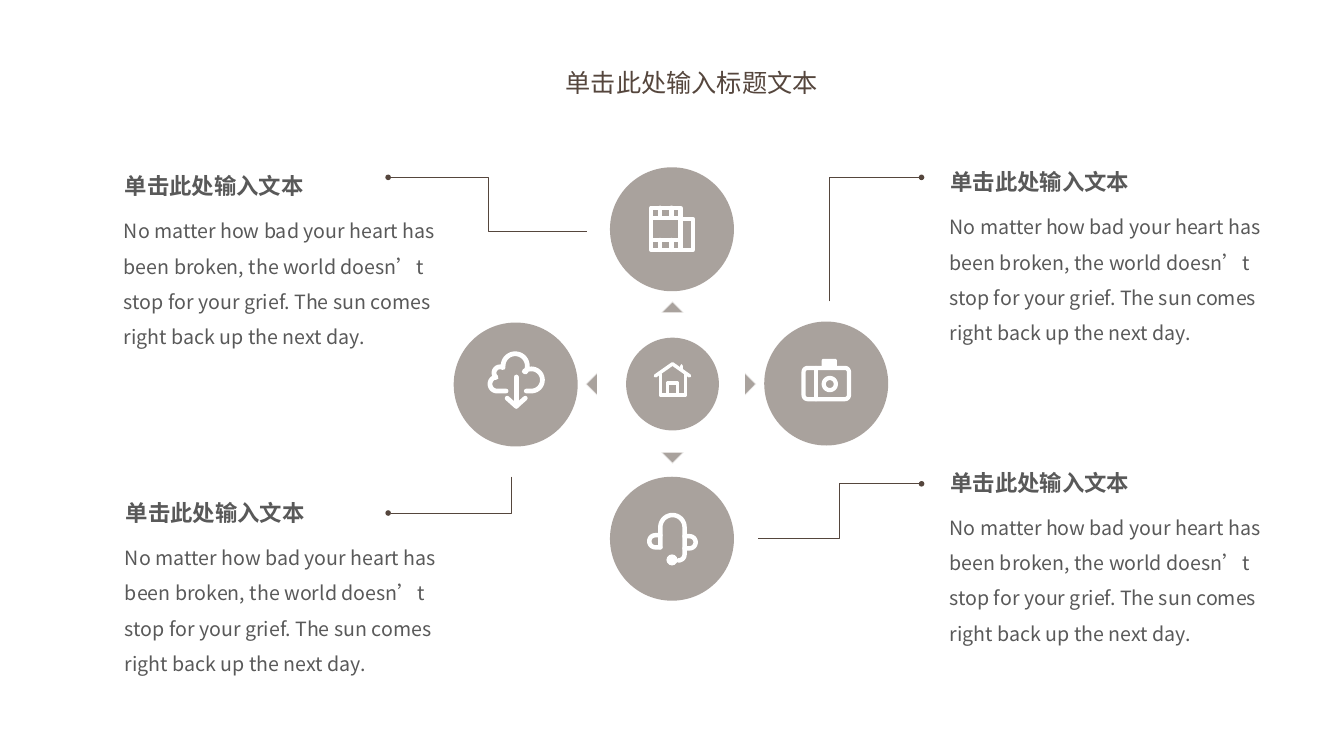
from dataclasses import dataclass
from math import cos, radians, sin

from lxml import etree
from pptx import Presentation
from pptx.dml.color import RGBColor
from pptx.enum import lang, shapes, text
from pptx.oxml import ns
from pptx.util import Inches, Pt

FONT = "Noto Sans CJK SC"
BROWN, GREY, WHITE = "55463D", "595959", "FFFFFF"
HEADING = "单击此处输入文本"
BODY = ("No matter how bad your heart has been broken, the world doesn’t "
        "stop for your grief. The sun comes right back up the next day.")
Point = tuple[float, float]
Glyph = list[list[Point]]


@dataclass
class Caption:
    left: float
    top: float
    leader: list[Point]


@dataclass
class Disc:
    left: float
    top: float
    size: float
    stroke: float
    icon: list[Glyph]


@dataclass
class Pointer:
    x: float
    y: float
    dx: int
    dy: int


def arc(x: float, y: float, r: float, start: int, end: int) -> list[Point]:
    """Points along a circle, in degrees clockwise from the right."""
    return [(x + r * cos(radians(a)), y + r * sin(radians(a)))
            for a in range(start, end + 1, 10)]


CAPTIONS = [
    Caption(1.14, 1.66, [(5.82, 2.3), (4.84, 2.3), (4.84, 1.76), (3.85, 1.76)]),
    Caption(9.33, 1.62, [(8.23, 2.99), (8.23, 1.76), (9.14, 1.76)]),
    Caption(9.33, 4.6, [(7.52, 5.34), (8.32, 5.34), (8.32, 4.8), (9.14, 4.8)]),
    Caption(1.15, 4.9, [(5.07, 4.73), (5.07, 5.09), (3.85, 5.09)]),
]
POINTERS = [Pointer(7.5, 3.81, 1, 0), Pointer(5.81, 3.81, -1, 0),
            Pointer(6.67, 4.6, 0, 1), Pointer(6.67, 2.99, 0, -1)]

FILM = [
    [(6.46, 2.06), (6.75, 2.06), (6.75, 2.48), (6.46, 2.48), (6.46, 2.06)],
    [(6.75, 2.17), (6.87, 2.17), (6.87, 2.48), (6.75, 2.48)],
    *[[(6.46, y), (6.75, y)] for y in (2.16, 2.38)],
    *[[(x, y), (x, y + 0.1)] for x in (6.55, 6.66) for y in (2.06, 2.38)],
]
CLOUD = [
    [(5.02, 3.88), *arc(4.93, 3.81, 0.07, 90, 250), *arc(4.96, 3.7, 0.06, 130, 300),
     *arc(5.11, 3.63, 0.12, 180, 390), *arc(5.27, 3.77, 0.11, 230, 450), (5.22, 3.88)],
]
DOWNLOAD = [
    [(5.12, 3.74), (5.12, 4.03)],
    [(5.03, 3.95), (5.12, 4.03), (5.21, 3.95)],
]
HEADSET = [
    [(6.55, 5.43), *arc(6.67, 5.23, 0.12, 180, 360),
     *arc(6.73, 5.5, 0.06, 0, 90)],
    [(6.55, 5.43), *arc(6.5, 5.37, 0.06, 90, 270), (6.55, 5.31)],
    [(6.79, 5.32), *arc(6.84, 5.38, 0.06, -90, 90), (6.79, 5.44)],
]
CAMERA = [
    [*arc(8.01, 3.69, 0.04, 180, 270), *arc(8.38, 3.69, 0.04, 270, 360),
     *arc(8.38, 3.92, 0.04, 0, 90), *arc(8.01, 3.92, 0.04, 90, 180), (7.97, 3.69)],
    [(8.09, 3.65), (8.09, 3.96)],
]
LENS = [arc(8.23, 3.81, 0.06, 0, 360)]
HOUSE = [
    [(6.5, 3.73), (6.67, 3.61), (6.84, 3.73)],
    [(6.55, 3.71), (6.55, 3.92), (6.8, 3.92), (6.8, 3.71)],
    [(6.62, 3.92), (6.62, 3.8), (6.72, 3.8), (6.72, 3.92)],
    [(6.76, 3.63), (6.76, 3.66)],
]
DISCS = [
    Disc(6.05, 1.66, 1.23, 3, [FILM]), Disc(4.5, 3.2, 1.23, 3.4, [CLOUD, DOWNLOAD]),
    Disc(6.05, 4.73, 1.23, 3.2, [HEADSET]), Disc(7.58, 3.19, 1.23, 3, [CAMERA, LENS]),
    Disc(6.21, 3.35, 0.92, 2.5, [HOUSE]),
]


def paint(fmt, color: str, opacity: int = 100) -> None:
    fmt.solid()
    fmt.fore_color.rgb = RGBColor.from_string(color)
    if opacity < 100:
        clr = fmt._xPr.find(".//" + ns.qn("a:srgbClr"))
        etree.SubElement(clr, ns.qn("a:alpha"), val=str(opacity * 1000))


def outline(s, strokes: Glyph, color: str, width: float, opacity: int = 100):
    """One unfilled freeform made of open strokes."""
    paths = [[(Inches(x), Inches(y)) for x, y in points] for points in strokes]
    builder = s.shapes.build_freeform(*paths[0][0])
    for i, (start, *rest) in enumerate(paths):
        if i:
            builder.move_to(*start)
        builder.add_line_segments(rest, close=False)
    sp = builder.convert_to_shape()
    sp.shadow.inherit = False
    sp.fill.background()
    paint(sp.line.fill, color, opacity)
    sp.line.width = Pt(width)
    return sp


def solid(s, kind, box: tuple[float, ...], color: str, opacity: int = 100) -> None:
    sp = s.shapes.add_shape(kind, *map(Inches, box))
    sp.shadow.inherit = False
    paint(sp.fill, color, opacity)
    sp.line.fill.background()


def write(sp, words: str, color: str, size: int, bold: bool = False,
          wrap: bool = True, spacing: float = 1) -> None:
    tf = sp.text_frame
    for name, value in {"word_wrap": wrap, "vertical_anchor": text.MSO_ANCHOR.TOP,
                        "auto_size": text.MSO_AUTO_SIZE.SHAPE_TO_FIT_TEXT}.items():
        setattr(tf, name, value)
    p = tf.paragraphs[0]
    p.alignment, p.line_spacing = text.PP_ALIGN.LEFT, spacing
    r = p.add_run()
    r.text = words
    for name, value in {"name": FONT, "size": Pt(size), "bold": bold,
                        "language_id": lang.MSO_LANGUAGE_ID.SIMPLIFIED_CHINESE}.items():
        setattr(r.font, name, value)
    paint(r.font.fill, color)
    latin = r.font._element.find(ns.qn("a:latin"))
    latin.addnext(etree.Element(ns.qn("a:ea"), typeface=FONT))


def draw_caption(s, c: Caption) -> None:
    leader = outline(s, [c.leader], BROWN, 0.5)
    etree.SubElement(leader.line._ln, ns.qn("a:tailEnd"), type="oval", w="sm", len="sm")
    body = s.shapes.add_textbox(*map(Inches, (c.left - 0.01, c.top + 0.35, 3.38, 1.5)))
    write(body, BODY, GREY, 14, spacing=1.5)
    heading = s.shapes.add_textbox(*map(Inches, (c.left, c.top, 1.98, 0.39)))
    write(heading, HEADING, GREY, 16, bold=True, wrap=False)


def draw_pointer(s, t: Pointer) -> None:
    back_x, back_y = t.x - 0.11 * t.dx, t.y - 0.11 * t.dy
    side_x, side_y = 0.11 * t.dy, 0.11 * t.dx
    sp = outline(s, [[(back_x - side_x, back_y - side_y), (t.x, t.y),
                      (back_x + side_x, back_y + side_y)]], WHITE, 1, 70)
    paint(sp.fill, BROWN, 50)


def draw_disc(s, d: Disc) -> None:
    solid(s, shapes.MSO_SHAPE.OVAL, (d.left, d.top, d.size, d.size), BROWN, 50)
    for glyph in d.icon:
        ln = outline(s, glyph, WHITE, d.stroke).line._ln
        ln.set("cap", "rnd")
        etree.SubElement(ln, ns.qn("a:round"))


def main() -> None:
    prs = Presentation()
    prs.slide_width, prs.slide_height = Inches(13.33), Inches(7.5)
    s = prs.slides.add_slide(prs.slide_layouts[5])
    title = s.shapes.title
    for name, value in {"left": 5.51, "top": 0.62, "width": 2.84, "height": 0.4}.items():
        setattr(title, name, Inches(value))
    write(title, "单击此处输入标题文本", BROWN, 18)
    for caption in CAPTIONS:
        draw_caption(s, caption)
    for pointer in POINTERS:
        draw_pointer(s, pointer)
    for disc in DISCS:
        draw_disc(s, disc)
    solid(s, shapes.MSO_SHAPE.OVAL, (6.61, 5.5, 0.11, 0.11), WHITE)
    solid(s, shapes.MSO_SHAPE.ROUNDED_RECTANGLE, (8.15, 3.56, 0.15, 0.1), WHITE)
    prs.save("out.pptx")


if __name__ == "__main__":
    main()
